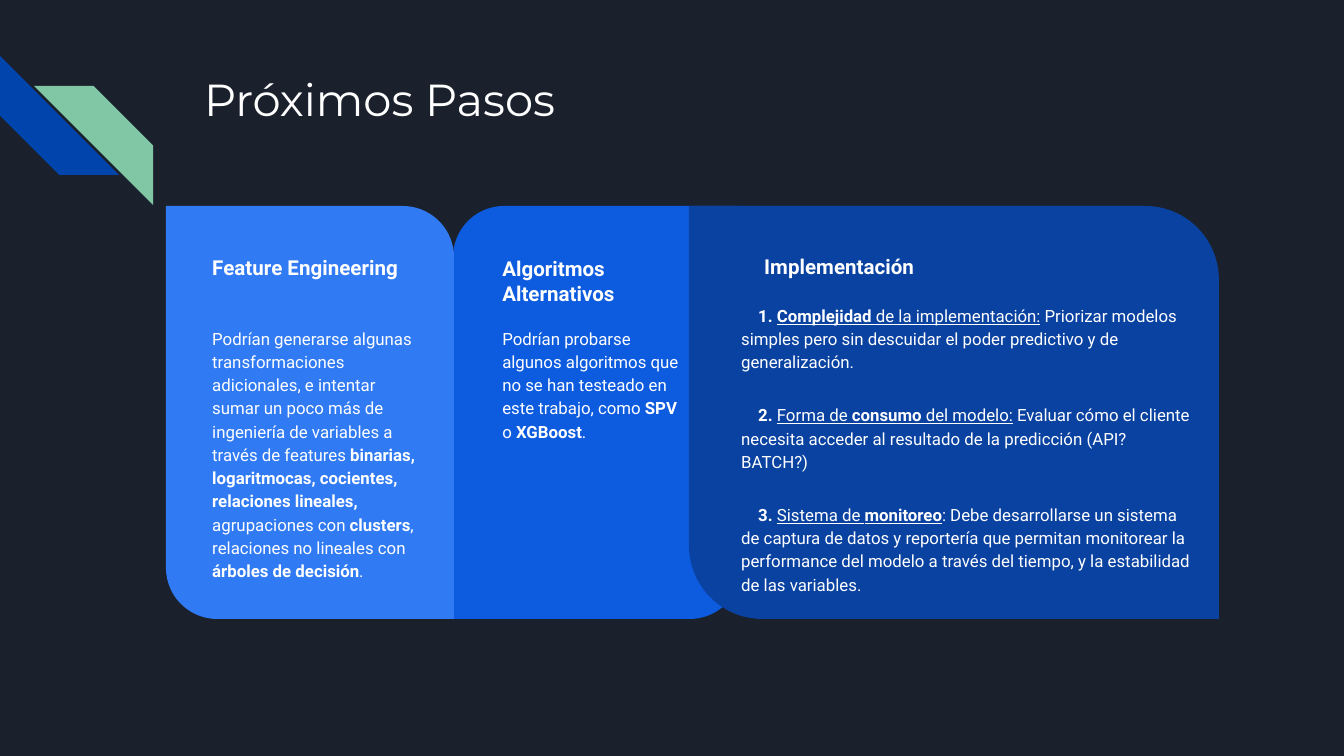
import pptx
import pptx.dml.color
import pptx.enum.shapes
import pptx.enum.text
import pptx.util

SHAPES = pptx.enum.shapes.MSO_SHAPE
WHITE = "FFFFFF"
ROUNDING = 0.178
CARD_TOP, CARD_HEIGHT = 206, 413

FEATURES = [[
    ("Podrían generarse algunas transformaciones adicionales, e intentar sumar un poco más de "
     "ingeniería de variables a través de features ", ""),
    ("binarias, logaritmocas, cocientes, relaciones lineales, ", "b"),
    ("agrupaciones con ", ""),
    ("clusters", "b"),
    (", relaciones no lineales con ", ""),
    ("árboles de decisión", "b"),
    (".", ""),
]]
ALGORITHMS = [[
    ("Podrían probarse algunos algoritmos que no se han testeado en este trabajo, como ", ""),
    ("SPV ", "b"),
    ("o ", ""),
    ("XGBoost", "b"),
    (".", ""),
]]
IMPLEMENTATION = [
    [("1. ", "b"), ("Complejidad ", "bu"), ("de la implementación:", "u"),
     (" Priorizar modelos simples pero sin descuidar el poder predictivo y de generalización.", "")],
    [("2. ", "b"), ("Forma de ", "u"), ("consumo ", "bu"), ("del modelo:", "u"),
     (" Evaluar cómo el cliente necesita acceder al resultado de la predicción (API? BATCH?)", "")],
    [("3. ", "b"), ("Sistema de ", "u"), ("monitoreo", "bu"),
     (": Debe desarrollarse un sistema de captura de datos y reportería que permitan monitorear la "
      "performance del modelo a través del tiempo, y la estabilidad de las variables.", "")],
]


def px(length):
    """Turn px, at 134.4 to the inch, into EMU."""
    return pptx.util.Emu(round(length * 914400 / 134.4))


def colour(code):
    """Turn a hex string into a colour."""
    return pptx.dml.color.RGBColor.from_string(code)


def add_shape(page, kind, area, fill, adjustments, rotation=0):
    """Add a plain filled preset shape."""
    shape = page.shapes.add_shape(kind, *map(px, area))
    shape.shadow.inherit = False
    shape.fill.solid()
    shape.fill.fore_color.rgb = colour(fill)
    shape.line.fill.background()
    shape.rotation = rotation
    for index, value in enumerate(adjustments):
        shape.adjustments[index] = value


def add_text(page, paragraphs, area, size, font="Roboto", spacing=1.0, gap=0, indent=0):
    """Add a text box of paragraphs, each a list of (text, style letters)."""
    box = page.shapes.add_textbox(*map(px, area))
    frame = box.text_frame
    frame.word_wrap = True
    frame.vertical_anchor = pptx.enum.text.MSO_ANCHOR.TOP
    for side in ("left", "top", "right", "bottom"):
        setattr(frame, f"margin_{side}", pptx.util.Inches(0.1))
    for index, spans in enumerate(paragraphs):
        para = frame.add_paragraph() if index else frame.paragraphs[0]
        para.line_spacing = spacing
        para.space_before = pptx.util.Pt(gap if index else 0)
        if indent:
            para._p.get_or_add_pPr().set("indent", str(px(indent)))
        for text, style in spans:
            span = para.add_run()
            span.text = text
            span.font.name = font
            span.font.size = pptx.util.Pt(size)
            span.font.color.rgb = colour(WHITE)
            span.font.bold = "b" in style
            span.font.underline = "u" in style


def add_stripes(page, left, top):
    """Place the two diagonal stripes of the corner."""
    side = 119
    for x, y, fill, rotation in ((0, 0, "0145AC", 270), (34, 30, "82C7A5", 90)):
        area = (left + x, top + y, side, side)
        add_shape(page, SHAPES.DIAGONAL_STRIPE, area, fill, [0.5], rotation)


def add_card(page, left, width, fill, corners, heading, heading_area, body, body_area, indent=0):
    """Place a card whose heading and body areas are relative to its corner."""
    add_shape(page, SHAPES.ROUND_2_DIAG_RECTANGLE, (left, CARD_TOP, width, CARD_HEIGHT), fill, corners)
    x, y, *extent = heading_area
    add_text(page, [[(heading, "b")]], (left + x, CARD_TOP + y, *extent), 11)
    x, y, *extent = body_area
    add_text(page, body, (left + x, CARD_TOP + y, *extent), 9, spacing=1.15, gap=16, indent=indent)


def main():
    """Build and save the deck."""
    deck = pptx.Presentation()
    deck.slide_width, deck.slide_height = px(1344), px(756)
    page = deck.slides.add_slide(deck.slide_layouts[6])
    page.background.fill.solid()
    page.background.fill.fore_color.rgb = colour("1B212C")
    add_stripes(page, 0, 56)
    add_text(page, [[("Próximos Pasos", "")]], (191, 58, 1035, 134), 24, font="Montserrat")
    add_card(page, 453, 288, "0D5CDF", (ROUNDING, 0), "Algoritmos Alternativos",
             (36, 37, 215, 69), ALGORITHMS, (36, 106, 215, 125))
    add_card(page, 166, 288, "307AF3", (0, ROUNDING), "Feature Engineering",
             (33, 37, 215, 69), FEATURES, (33, 106, 233, 278))
    add_card(page, 689, 530, "0942A1", (0, ROUNDING), "Implementación",
             (62, 36, 431, 67), IMPLEMENTATION, (39, 83, 476, 293), indent=17)
    deck.save("out.pptx")


if __name__ == "__main__":
    main()
